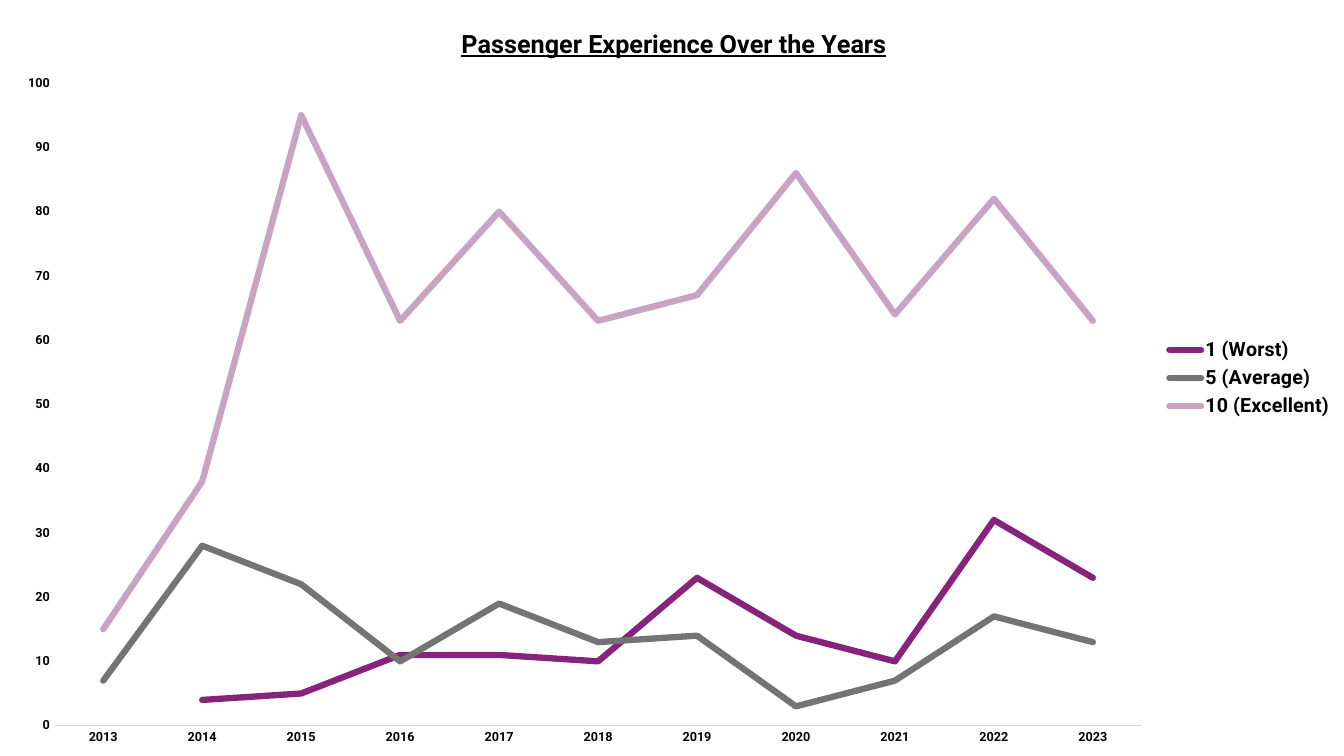
from lxml import etree
from pptx import Presentation
from pptx.chart.data import CategoryChartData
from pptx.dml.color import RGBColor
from pptx.enum.chart import XL_CHART_TYPE as ChartType
from pptx.enum.chart import XL_LEGEND_POSITION as LegendPos
from pptx.enum.chart import XL_MARKER_STYLE as Marker
from pptx.enum.chart import XL_TICK_MARK as Tick
from pptx.oxml.ns import qn
from pptx.util import Cm, Pt

BLACK = RGBColor(0x00, 0x00, 0x00)
AXIS_GREY = RGBColor(0xD9, 0xD9, 0xD9)
PURPLE = RGBColor(0x85, 0x24, 0x7A)
GREY = RGBColor(0x74, 0x74, 0x74)
LILAC = RGBColor(0xC8, 0xA4, 0xC2)

RATINGS = [
    ("1 (Worst)", PURPLE, [None, 4, 5, 11, 11, 10, 23, 14, 10, 32, 23]),
    ("5 (Average)", GREY, [7, 28, 22, 10, 19, 13, 14, 3, 7, 17, 13]),
    ("10 (Excellent)", LILAC, [15, 38, 95, 63, 80, 63, 67, 86, 64, 82, 63]),
]


def style_font(font, **extra):
    for name, value in {"name": "Roboto", "bold": True, **extra}.items():
        setattr(font, name, value)
    font.color.rgb = BLACK


def place(element, index, **values):
    for old in element.findall(qn("c:layout")):
        element.remove(old)
    layout = etree.Element(qn("c:layout"))
    manual = etree.SubElement(layout, qn("c:manualLayout"))
    for tag, value in values.items():
        etree.SubElement(manual, qn("c:" + tag)).set("val", str(value))
    element.insert(index, layout)


prs = Presentation()
prs.slide_width, prs.slide_height = Cm(33.87), Cm(19.05)
s = prs.slides.add_slide(prs.slide_layouts[6])

data = CategoryChartData()
data.categories = [str(year) for year in range(2013, 2024)]
for name, color, values in RATINGS:
    data.add_series(name, values)
chart = s.shapes.add_chart(
    ChartType.LINE, 0, 0, prs.slide_width, prs.slide_height, data
).chart
style_font(chart.font, size=Pt(10), bold=False)

chart.has_title = True
title = chart.chart_title
r = title.text_frame.paragraphs[0].add_run()
r.text = "Passenger Experience Over the Years"
style_font(r.font, size=Pt(18), underline=True)
title.include_in_layout = False
place(title._element, 1, xMode="edge", yMode="edge", x=0.34, y=0.03)

chart.has_legend = True
chart.legend.position = LegendPos.RIGHT
chart.legend.include_in_layout = False
style_font(chart.legend.font, size=Pt(14))

for axis in (chart.category_axis, chart.value_axis):
    axis.major_tick_mark = axis.minor_tick_mark = Tick.NONE
    axis.has_major_gridlines = False
    style_font(axis.tick_labels.font, size=Pt(9))
chart.category_axis.format.line.color.rgb = AXIS_GREY
chart.category_axis.format.line.width = Pt(0.75)
chart.value_axis.format.line.fill.background()
for name, value in {"minimum_scale": 0, "maximum_scale": 100, "major_unit": 10}.items():
    setattr(chart.value_axis, name, value)

plot = chart.plots[0]
plot.vary_by_categories = False
for series, (name, color, values) in zip(plot.series, RATINGS):
    series.smooth = False
    series.marker.style = Marker.NONE
    line = series.format.line
    line.color.rgb = color
    line.width = Pt(4.5)
    series._element.find(qn("c:spPr")).find(qn("a:ln")).set("cap", "rnd")

place(
    chart._chartSpace.chart.plotArea, 0, layoutTarget="inner", xMode="edge",
    yMode="edge", x=0.04, y=0.11, w=0.81, h=0.85,
)

prs.save("out.pptx")
